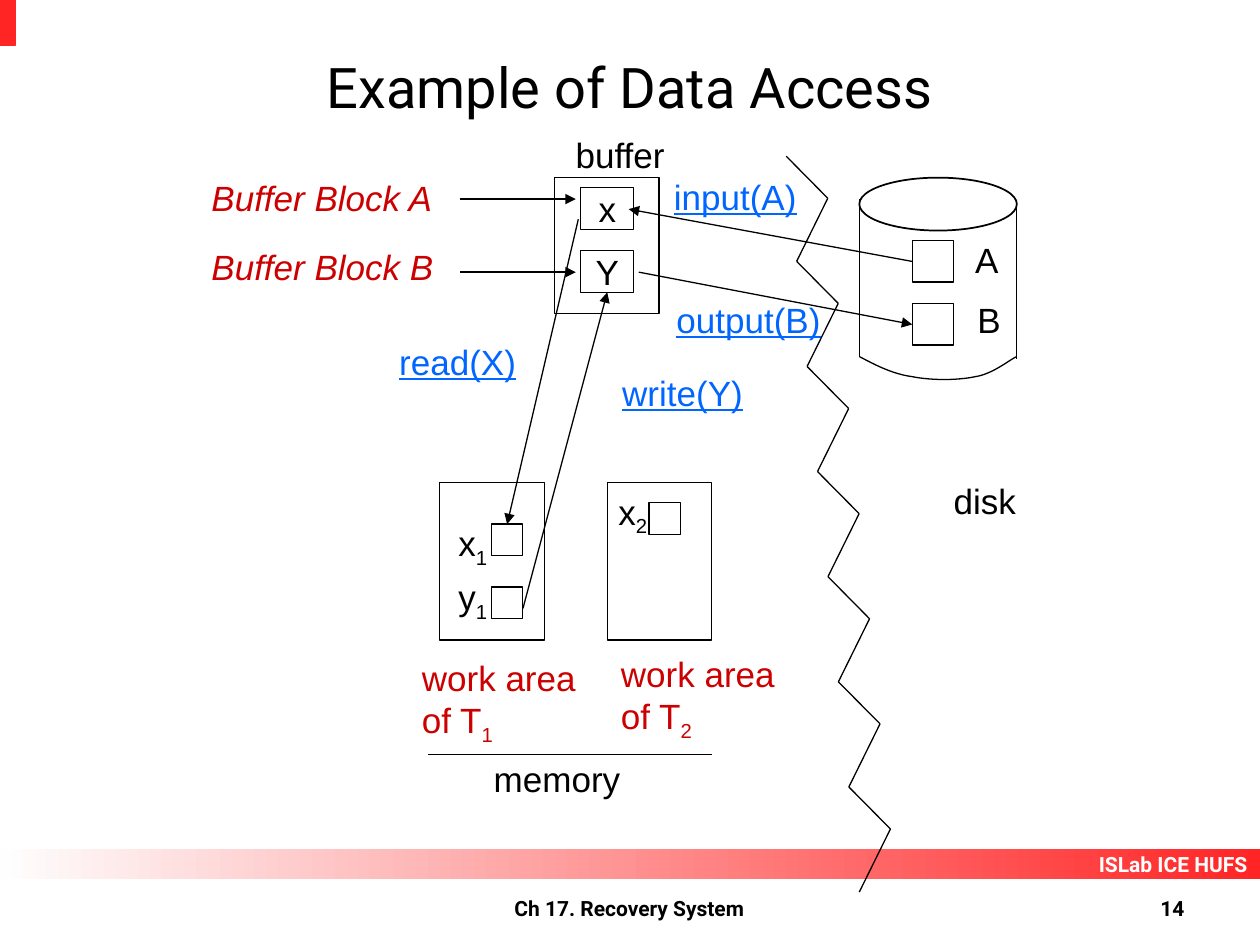
from dataclasses import dataclass
from lxml import etree
from pptx import Presentation
from pptx.dml.color import RGBColor as Rgb
from pptx.enum.shapes import MSO_CONNECTOR as Conn, MSO_SHAPE as Shape
from pptx.enum.text import MSO_ANCHOR as Anchor, PP_ALIGN as Align
from pptx.oxml.ns import qn
from pptx.util import Inches, Pt


@dataclass(frozen=True)
class Theme:
    ink: Rgb = Rgb(0, 0, 0)
    white: Rgb = Rgb(255, 255, 255)
    pale: Rgb = Rgb(0xFE, 0xFE, 0xFE)
    accent: Rgb = Rgb(0xFF, 0x25, 0x25)
    red: Rgb = Rgb(0xCC, 0, 0)
    blue: Rgb = Rgb(0, 0x66, 0xFF)
    head: str = "Roboto"
    body: str = "Arial"
    title: int = 32
    label: int = 20
    small: int = 12
    line: float = 0.75


T = Theme()


def write(shape, text, color=T.ink, size=T.label, face=T.body, align=Align.LEFT,
          anchor=Anchor.TOP, wrap=False, **style):
    """Fill a shape with text; an underscore starts a subscript, a newline a paragraph."""
    frame = shape.text_frame
    frame.word_wrap = wrap
    frame.vertical_anchor = anchor
    for i, line in enumerate(text.split("\n")):
        para = frame.add_paragraph() if i else frame.paragraphs[0]
        para.alignment = align
        for j, part in enumerate(line.split("_")):
            run = para.add_run()
            run.text = part
            font = run.font
            font.name, font.size, font.color.rgb = face, Pt(size), color
            for key, value in style.items():
                setattr(font, key, value)
            if j:
                run._r.get_or_add_rPr().set("baseline", "-25000")


def label(slide, box, text, **style):
    write(slide.shapes.add_textbox(*map(Inches, box)), text, **style)


def outline(shape, width=T.line):
    shape.shadow.inherit = False
    shape.fill.background()
    shape.line.color.rgb = T.ink
    shape.line.width = Pt(width)
    return shape


def block(slide, box, kind=Shape.RECTANGLE, width=T.line):
    return outline(slide.shapes.add_shape(kind, *map(Inches, box)), width)


def link(slide, start, end, arrow=False):
    line = slide.shapes.add_connector(Conn.STRAIGHT, *map(Inches, start + end))
    line.line.color.rgb = T.ink
    line.line.width = Pt(T.line)
    if arrow:
        etree.SubElement(line.line._get_or_add_ln(), qn("a:tailEnd"), type="triangle")
    etree.SubElement(line._element.spPr, qn("a:effectLst"))
    return line


def frame(slide, box):
    """Place the corner mark, title, footer band and footer text."""
    x, y, w, h = box
    mark = block(slide, (x, y, 0.12, 0.36))
    mark.fill.solid()
    mark.fill.fore_color.rgb = mark.line.color.rgb = T.accent
    band = block(slide, (x, y + h - 0.76, w, 0.24))
    band.line.fill.background()
    band.fill.gradient()
    band.fill.gradient_angle = 180
    for stop, color, place in zip(band.fill.gradient_stops, (T.accent, T.pale), (0, 1)):
        stop.color.rgb, stop.position = color, place
    foot = dict(size=T.small, face=T.head, bold=True)
    write(band, "ISLab ICE HUFS", T.white, align=Align.RIGHT, anchor=Anchor.MIDDLE, **foot)
    label(slide, (x + 0.5, y + 0.21, w - 1, 0.94), "Example of Data Access", size=T.title,
          face=T.head, align=Align.CENTER, anchor=Anchor.MIDDLE, wrap=True)
    low = y + h - 0.44
    label(slide, (x + 2.95, low, 4.09, 0.29), "Ch 17. Recovery System",
          align=Align.CENTER, wrap=True, **foot)
    label(slide, (x + 7.17, low, 2.33, 0.29), "14", align=Align.RIGHT, wrap=True, **foot)


def buffer(slide, box):
    """Draw the buffer with its two blocks, and return the blocks."""
    x, y, w, h = box
    block(slide, box)
    cells = []
    for i, name in enumerate("xY"):
        cell = block(slide, (x + 0.21, y + 0.08 + i * 0.5, 0.42, 0.33))
        write(cell, name, align=Align.CENTER, anchor=Anchor.MIDDLE)
        cells.append(cell)
    label(slide, (x + 0.07, y - 0.4, 1, 0.44), "buffer")
    for name, top, tip in (("A", -0.06, 0.17), ("B", 0.49, 0.75)):
        label(slide, (x - 2.82, y + top, 2.04, 0.44), f"Buffer Block {name}",
              color=T.red, italic=True)
        link(slide, (x - 0.75, y + tip), (x + 0.17, y + tip), arrow=True)
    return cells


def curve(a, b, c, d, steps=12):
    """Return points along a cubic curve, without the first."""
    return [tuple((1 - t) ** 3 * p + 3 * t * (1 - t) ** 2 * q
                  + 3 * t * t * (1 - t) * r + t ** 3 * s
                  for p, q, r, s in zip(a, b, c, d))
            for t in (i / steps for i in range(1, steps + 1))]


def disk(slide, box):
    """Draw the disk cylinder, and return its two blocks."""
    x, y, w, h = box
    block(slide, (x, y, w, 0.42), Shape.OVAL, 1)
    for side, top in ((x, 0.17), (x + w, 0.19)):
        link(slide, (side, y + top), (side, y + top + 1.25))
    base = [(0, 0), (0.13, 0.07), (0.27, 0.14), (0.42, 0.16), (0.57, 0.19),
            (0.78, 0.19), (0.92, 0.16), (1.06, 0.14), (1.2, 0.02), (w, 0)]
    rim = [(x + dx, y + 1.42 + dy) for dx, dy in base]
    points = [p for i in (0, 3, 6) for p in curve(*rim[i:i + 4])]
    path = slide.shapes.build_freeform(*map(Inches, rim[0]))
    path.add_line_segments([tuple(map(Inches, p)) for p in points], close=False)
    outline(path.convert_to_shape())
    cells = [block(slide, (x + 0.42, y + 0.5 + i * 0.5, 0.33, 0.33)) for i in range(2)]
    label(slide, (x + 0.82, y + 0.43, 0.4, 0.44), "A")
    label(slide, (x + 0.84, y + 0.91, 0.4, 0.44), "B")
    label(slide, (x + 0.65, y + 2.35, 0.8, 0.44), "disk")
    return cells


def area(slide, box, name, note, items):
    """Draw a work area with its variables, and return their cells."""
    x, y, w, h = box
    block(slide, box)
    label(slide, (x + note[0], y + h + note[1], 1.5, 0.82),
          f"work area\nof T_{name}", color=T.red)
    cells = []
    for text, (tx, ty), (cx, cy) in items:
        cells.append(block(slide, (x + cx, y + cy, 0.25, 0.25)))
        label(slide, (x + tx, y + ty, 0.47, 0.48), text)
    return cells


def memory(slide, box):
    """Draw both work areas over the memory line, and return the cells of the first."""
    x, y, w, h = box
    cells = area(slide, (x + 0.09, y, 0.83, 1.25), 1, (-0.24, 0.08),
                 [("x_1", (0.05, 0.26), (0.41, 0.33)), ("y_1", (0.05, 0.69), (0.41, 0.83))])
    area(slide, (x + 1.42, y, 0.83, 1.25), 2, (0.01, 0.05),
         [("x_2", (-0.01, 0.01), (0.33, 0.16))])
    link(slide, (x, y + h), (x + w, y + h))
    label(slide, (x + 0.42, y + h - 0.03, 1.3, 0.44), "memory")
    return cells


def border(slide, box, turns=7):
    """Draw the zigzag between memory and disk."""
    x, y, w, h = box
    step, rise = (w - 0.25) / turns, h / turns
    for i in range(turns):
        start = (x + i * step, y + i * rise)
        peak = (start[0] + 0.33, start[1] + rise * 0.4)
        link(slide, start, peak)
        link(slide, peak, (start[0] + step, start[1] + rise))


def access(slide, blocks, pages, cells):
    """Draw the four data moves between buffer, disk and work area."""
    fetch = link(slide, (7.24, 2.08), (4.99, 1.66), arrow=True)
    fetch.begin_connect(pages[0], 1)
    store = link(slide, (5.07, 2.16), (7.24, 2.58), arrow=True)
    store.end_connect(pages[1], 1)
    read = link(slide, (4.59, 1.74), (4.02, 4.16), arrow=True)
    read.end_connect(cells[0], 0)
    save = link(slide, (4.15, 4.83), (4.82, 2.33), arrow=True)
    save.end_connect(blocks[1], 2)
    for text, x, y, w in (("input(A)", 5.25, 1.34, 1.3), ("output(B)", 5.27, 2.32, 1.42),
                          ("read(X)", 3.07, 2.65, 1.25), ("write(Y)", 4.84, 2.9, 1.3)):
        label(slide, (x, y, w, 0.44), text, color=T.blue, underline=True)


def main():
    deck = Presentation()
    deck.slide_width, deck.slide_height = Inches(10), Inches(7.5)
    slide = deck.slides.add_slide(deck.slide_layouts[6])
    frame(slide, (0, 0, 10, 7.5))
    blocks = buffer(slide, (4.4, 1.41, 0.83, 1.08))
    pages = disk(slide, (6.82, 1.41, 1.25, 1.61))
    cells = memory(slide, (3.4, 3.83, 2.25, 2.16))
    access(slide, blocks, pages, cells)
    border(slide, (6.24, 1.24, 0.83, 5.84))
    deck.save("out.pptx")


if __name__ == "__main__":
    main()
